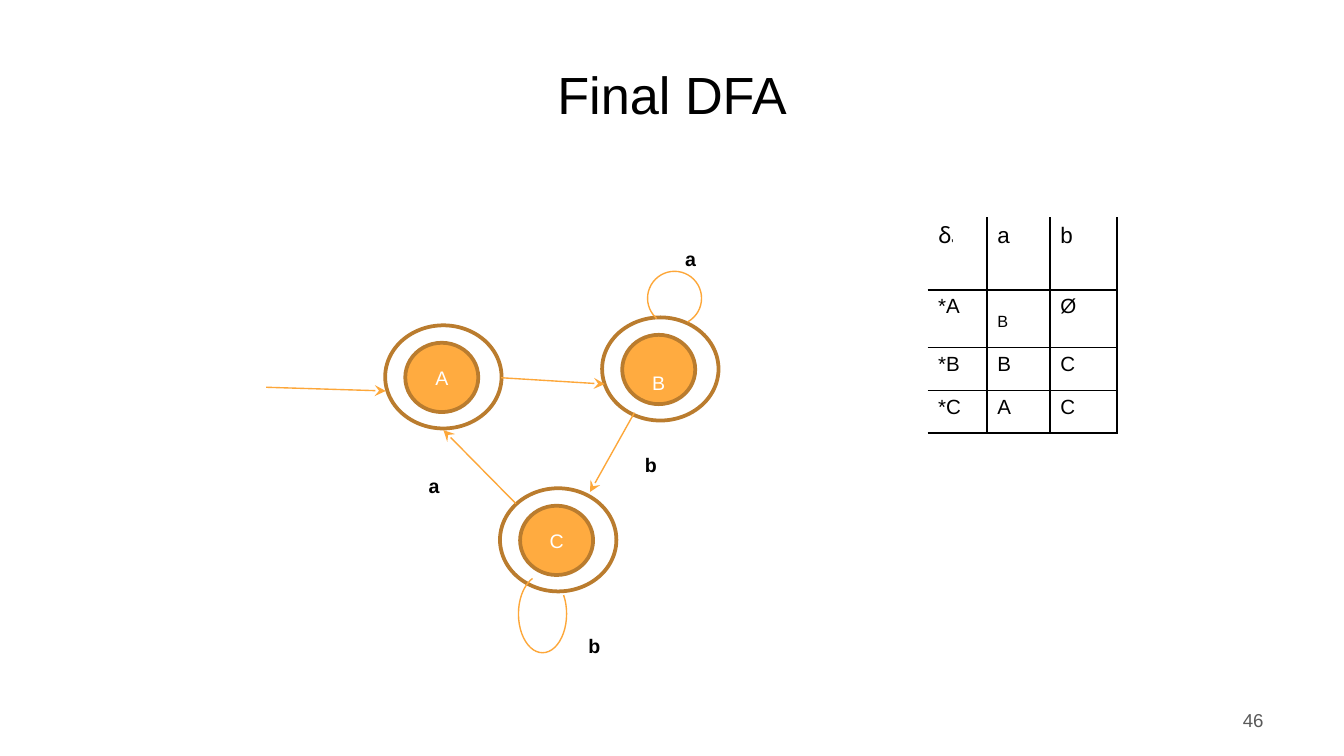
import pptx
import pptx.dml.color
import pptx.enum.shapes
import pptx.enum.text
import pptx.oxml.ns
import pptx.util
from lxml import etree

Cm = pptx.util.Cm
Pt = pptx.util.Pt
RGBColor = pptx.dml.color.RGBColor
Shape = pptx.enum.shapes.MSO_SHAPE
Align = pptx.enum.text.PP_ALIGN
Anchor = pptx.enum.text.MSO_ANCHOR
qn = pptx.oxml.ns.qn

BLACK = RGBColor(0x00, 0x00, 0x00)
WHITE = RGBColor(0xFF, 0xFF, 0xFF)
GREY = RGBColor(0x59, 0x59, 0x59)
ORANGE = RGBColor(0xFF, 0xAB, 0x40)
BROWN = RGBColor(0xBA, 0x7C, 0x2E)
AMBER = RGBColor(0xFD, 0xA7, 0x39)

STATES = [("A", 7.28, 6.15, 0), ("B", 11.38, 6.0, 0.48), ("C", 9.45, 9.23, 0)]
ARROWS = [
    (5.03, 7.32, 7.29, 7.39),
    (9.47, 7.14, 11.43, 7.26),
    (11.99, 7.8, 11.15, 9.3),
    (9.75, 9.52, 8.38, 8.13),
]
LOOPS = [
    (12.24, 5.13, 1.02, 1.02, 131.7, 61.3),
    (9.8, 10.87, 0.91, 1.47, 318.4, 254.2),
]
LABELS = [("a", 12.7, 4.55), ("b", 11.94, 8.43), ("a", 7.85, 8.84), ("b", 10.87, 11.86)]
TRANSITIONS = [
    ("δ", "a", "b"),
    ("*A", "B", "Ø"),
    ("*B", "B", "C"),
    ("*C", "A", "C"),
]
COLUMN_WIDTHS = [1.12, 1.19, 1.27]
ROW_HEIGHTS = [1.37, 1.09, 0.81, 0.81]


def style_run(span, size, color, name="Arial", bold=False):
    span.font.size = Pt(size)
    span.font.name = name
    span.font.bold = bold
    span.font.color.rgb = color


def lower_run(span):
    span.font._element.set("baseline", "-25000")


def add_text(page, text, left, top, width, height, size, color=BLACK,
             align=Align.LEFT, anchor=Anchor.TOP, bold=False):
    box = page.shapes.add_textbox(Cm(left), Cm(top), Cm(width), Cm(height))
    frame = box.text_frame
    frame.word_wrap = True
    frame.vertical_anchor = anchor
    frame.text = text
    para = frame.paragraphs[0]
    para.alignment = align
    style_run(para.runs[0], size, color, bold=bold)


def add_ellipse(page, left, top, width, height, fill):
    ellipse = page.shapes.add_shape(Shape.OVAL, Cm(left), Cm(top), Cm(width), Cm(height))
    ellipse.shadow.inherit = False
    ellipse.fill.solid()
    ellipse.fill.fore_color.rgb = fill
    ellipse.line.color.rgb = BROWN
    ellipse.line.width = Pt(2)
    return ellipse


def add_state(page, name, left, top, text_drop):
    add_ellipse(page, left, top, 2.2, 1.95, WHITE)
    core = add_ellipse(page, left + 0.38, top + 0.33, 1.38, 1.31, ORANGE)
    frame = core.text_frame
    frame.margin_top = Cm(text_drop)
    frame.margin_bottom = Cm(0)
    frame.vertical_anchor = Anchor.MIDDLE
    frame.text = name
    para = frame.paragraphs[0]
    para.alignment = Align.CENTER
    style_run(para.runs[0], 10.5, WHITE)


def add_arrow(page, start_x, start_y, end_x, end_y):
    arrow = page.shapes.add_connector(
        pptx.enum.shapes.MSO_CONNECTOR.STRAIGHT,
        Cm(start_x), Cm(start_y), Cm(end_x), Cm(end_y))
    arrow.line.color.rgb = AMBER
    arrow.line.width = Pt(0.75)
    etree.SubElement(arrow.line._get_or_add_ln(), qn("a:tailEnd"), type="stealth")
    etree.SubElement(arrow._element.spPr, qn("a:effectLst"))


def add_loop(page, left, top, width, height, start_angle, end_angle):
    loop = page.shapes.add_shape(Shape.ARC, Cm(left), Cm(top), Cm(width), Cm(height))
    loop.shadow.inherit = False
    loop.adjustments[0] = start_angle * 0.6
    loop.adjustments[1] = end_angle * 0.6
    loop.fill.background()
    loop.line.color.rgb = AMBER
    loop.line.width = Pt(0.75)


def set_borders(cell, sides):
    properties = cell._tc.get_or_add_tcPr()
    for position, side in enumerate("LRTB"):
        line = etree.Element(qn(f"a:ln{side}"), w=str(Pt(1)))
        if side in sides:
            fill = etree.SubElement(line, qn("a:solidFill"))
            etree.SubElement(fill, qn("a:srgbClr"), val=str(BLACK))
        else:
            etree.SubElement(line, qn("a:noFill"))
        properties.insert(position, line)


def fill_cell(cell, text, size, name):
    cell.margin_left = cell.margin_right = Cm(0.2)
    cell.margin_top = cell.margin_bottom = Cm(0.1)
    cell.fill.background()
    cell.text_frame.text = text
    span = cell.text_frame.paragraphs[0].runs[0]
    style_run(span, size, BLACK, name)
    return span


def add_transition_table(page):
    frame = page.shapes.add_table(
        len(TRANSITIONS), len(COLUMN_WIDTHS), Cm(17.53), Cm(4.11),
        Cm(sum(COLUMN_WIDTHS)), Cm(sum(ROW_HEIGHTS)))
    table = frame.table
    table.first_row = False
    table.horz_banding = False
    for column, width in zip(table.columns, COLUMN_WIDTHS):
        column.width = Cm(width)
    for row, height in zip(table.rows, ROW_HEIGHTS):
        row.height = Cm(height)
    for row_index, texts in enumerate(TRANSITIONS):
        for column_index, text in enumerate(texts):
            cell = table.cell(row_index, column_index)
            lowered = (row_index, column_index) == (1, 1)
            size = 15 if lowered else 11 if row_index else 12
            name = "Arial" if row_index or column_index else "Karla"
            span = fill_cell(cell, text, size, name)
            if lowered:
                lower_run(span)
            sides = "RB" + ("L" if column_index else "") + ("T" if row_index else "")
            set_borders(cell, sides)
    prime = table.cell(0, 0).text_frame.paragraphs[0].add_run()
    prime.text = "'"
    style_run(prime, 12, BLACK, "Karla")
    lower_run(prime)


def main():
    deck = pptx.Presentation()
    deck.slide_width = Cm(25.4)
    deck.slide_height = Cm(14.29)
    page = deck.slides.add_slide(deck.slide_layouts[6])
    add_text(page, "Final DFA", 1.27, 0.58, 22.86, 2.39, 28,
             align=Align.CENTER, anchor=Anchor.MIDDLE)
    add_text(page, "46", 18.21, 13.23, 5.92, 0.76, 10, GREY,
             align=Align.RIGHT, anchor=Anchor.MIDDLE)
    for state in STATES:
        add_state(page, *state)
    for arrow in ARROWS:
        add_arrow(page, *arrow)
    add_transition_table(page)
    for loop in LOOPS:
        add_loop(page, *loop)
    for text, left, top in LABELS:
        add_text(page, text, left, top, 1.09, 0.71, 10.5, bold=True)
    deck.save("out.pptx")


if __name__ == "__main__":
    main()
